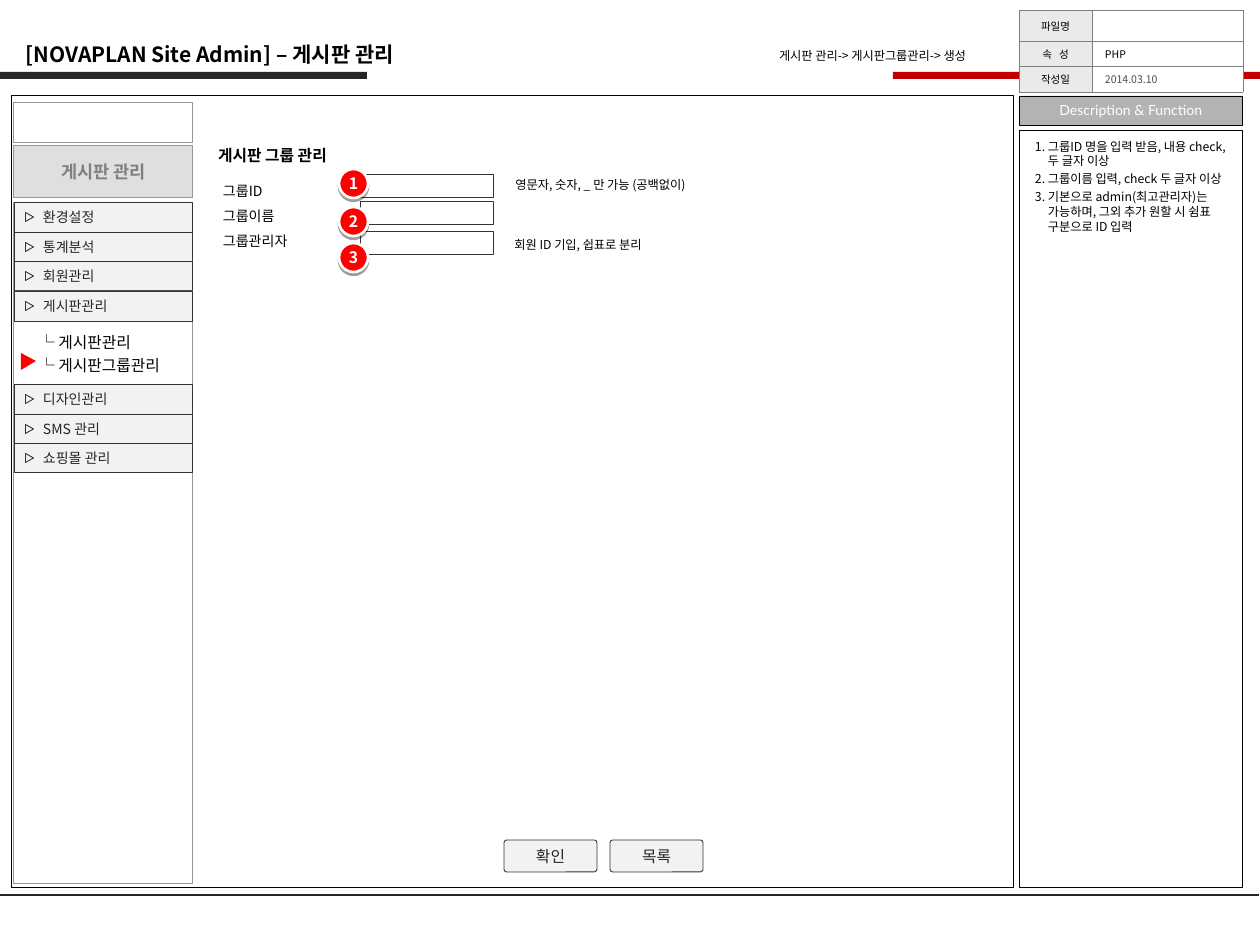
from lxml import etree
from pptx import Presentation
from pptx.dml.color import RGBColor
from pptx.enum import shapes, text
from pptx.oxml import ns
from pptx.util import Emu, Pt

KOREAN, LATIN = "Noto Sans CJK KR", "Lato"
LEFT, CENTER, RIGHT = text.PP_ALIGN.LEFT, text.PP_ALIGN.CENTER, text.PP_ALIGN.RIGHT
TOP, MIDDLE = text.MSO_ANCHOR.TOP, text.MSO_ANCHOR.MIDDLE
RECT, ROUND = shapes.MSO_SHAPE.RECTANGLE, shapes.MSO_SHAPE.ROUNDED_RECTANGLE
OVAL, TRIANGLE = shapes.MSO_SHAPE.OVAL, shapes.MSO_SHAPE.ISOSCELES_TRIANGLE

# Content
TITLE = "[NOVAPLAN Site Admin] – 게시판 관리"
BREADCRUMB = "게시판 관리-> 게시판그룹관리-> 생성"
FILE_INFO = [("파일명", ""), ("속   성", "PHP"), ("작성일", "2014.03.10")]
SIDEBAR_TITLE = "게시판 관리"
MENU_GROUPS = [
    (202, ["환경설정", "통계분석", "회원관리", "게시판관리"]),
    (384, ["디자인관리", "SMS 관리", "쇼핑몰 관리"]),
]
SUBMENU = ["└ 게시판관리", "└ 게시판그룹관리"]
FORM_TITLE = "게시판 그룹 관리"
FORM_LABELS = ["그룹ID", "그룹이름", "그룹관리자"]
FIELD_TOPS = [174, 201, 231]
BADGE_TOPS = [169, 207, 243]
ID_HINT = "영문자, 숫자, _ 만 가능 (공백없이)"
MANAGER_HINT = "회원 ID 기입, 쉽표로 분리"
BUTTONS = ["확인", "목록"]
NOTES_TITLE = "Description & Function"
NOTES = [
    "그룹ID 명을 입력 받음, 내용 check, 두 글자 이상",
    "그룹이름 입력, check 두 글자 이상",
    "기본으로 admin(최고관리자)는 가능하며, 그외 추가 원할 시 쉼표 구분으로 ID 입력",
]


def px(value):
    return Emu(round(value * 914400 / 126))


def color(code):
    return RGBColor.from_string(code)


def child(parent, tag, **attributes):
    return etree.SubElement(parent, ns.qn(tag), attributes)


def add_span(para, words, size, ink="000000", bold=False, font=KOREAN):
    span = para.add_run()
    span.text = words
    span.font.size, span.font.bold, span.font.name = Pt(size), bold, font
    span.font.color.rgb = color(ink)
    child(span.font._element, "a:ea", typeface=font)


def write(box, lines, size, ink="000000", bold=False, font=KOREAN, align=LEFT,
          anchor=TOP, wrap=True, spacing=1.0, insets=(13, 6, 13, 6)):
    frame = box.text_frame
    frame.auto_size = text.MSO_AUTO_SIZE.NONE
    frame.word_wrap, frame.vertical_anchor = wrap, anchor
    (frame.margin_left, frame.margin_top,
     frame.margin_right, frame.margin_bottom) = map(px, insets)
    for index, words in enumerate(lines):
        para = frame.add_paragraph() if index else frame.paragraphs[0]
        para.alignment, para.line_spacing = align, spacing
        add_span(para, words, size, ink, bold, font)
    return frame


def place(box, left, top, width, height):
    box.left, box.top, box.width, box.height = map(px, (left, top, width, height))
    return box


def paint(box, fill=None, line=None, weight=0.5):
    box.shadow.inherit = False
    if fill:
        box.fill.solid()
        box.fill.fore_color.rgb = color(fill)
    else:
        box.fill.background()
    if line:
        box.line.color.rgb, box.line.width = color(line), Pt(weight)
    else:
        box.line.fill.background()
    return box


deck = Presentation()
deck.slide_width, deck.slide_height = px(1260), px(945)
page = deck.slides.add_slide(deck.slide_layouts[1])


def add_box(kind, area, fill=None, line=None, weight=0.5):
    return paint(page.shapes.add_shape(kind, *map(px, area)), fill, line, weight)


def add_text(area, lines, size, **style):
    return write(page.shapes.add_textbox(*map(px, area)), lines, size, **style)


# Page frame: main panel, header bars, footer line
add_box(RECT, (11, 96, 1002, 792), line="000000")
add_box(RECT, (893, 72, 367, 7), "C00000")
add_box(RECT, (0, 72, 367, 7), "262626")
footer = page.shapes.add_connector(
    shapes.MSO_CONNECTOR.STRAIGHT, px(0), px(895), px(1259), px(895))
footer.line.color.rgb, footer.line.width = color("262626"), Pt(0.75)
child(footer._element.spPr, "a:effectLst")

# Header text
write(place(page.shapes.title, 13, 35, 480, 38), [TITLE], 12, bold=True)
add_text((753, 42, 226, 28), [BREADCRUMB], 7, align=RIGHT, wrap=False)

# Sidebar
add_box(RECT, (14, 103, 179, 40), "FFFFFF", "969696")
add_box(RECT, (14, 202, 179, 682), line="969696")
heading = add_box(RECT, (14, 146, 179, 52), "C0C0C0", "969696")
child(heading._element.spPr.find(ns.qn("a:solidFill"))[0], "a:alpha", val="50000")
write(heading, [SIDEBAR_TITLE], 10, "808080", True, align=CENTER, anchor=MIDDLE)
for group_top, items in MENU_GROUPS:
    for index, item in enumerate(items):
        top = group_top + round(index * 29.6)
        button = add_box(RECT, (15, top, 178, 30), "F2F2F2", "333333")
        write(button, [item], 8, "262626", anchor=MIDDLE, insets=(28, 5, 5, 5))
        add_box(TRIANGLE, (25, top + 11, 9, 8), "F2F2F2", "333333").rotation = 90
add_text((26, 323, 146, 58), SUBMENU, 9, wrap=False, spacing=1.2)
pointer = page.shapes.build_freeform(21, 370, scale=px(1))
pointer.add_line_segments([(21, 353), (36, 361)], close=True)
paint(pointer.convert_to_shape(), "FF0000")

# Form
add_text((205, 140, 135, 32), [FORM_TITLE], 9, bold=True, wrap=False)
add_text((210, 168, 630, 88), FORM_LABELS, 8, spacing=1.5)
for top in FIELD_TOPS:
    add_box(RECT, (360, top, 134, 24), "FFFFFF", "333333")
add_text((493, 171, 215, 28), [ID_HINT], 7, align=CENTER)
add_text((495, 231, 166, 28), [MANAGER_HINT], 7, align=CENTER, wrap=False)
for index, label in enumerate(BUTTONS):
    button = add_box(ROUND, (504 + index * 106, 840, 93, 32), "F2F2F2", "333333")
    button.adjustments[0] = 0.09
    write(button, [label], 9, "262626", align=CENTER, anchor=MIDDLE)

# Numbered badges
for number, top in enumerate(BADGE_TOPS, 1):
    badge = add_box(OVAL, (339, top, 29, 29), "FF0000", "FFFFFF", 1.5)
    write(badge, [str(number)], 9, "FFFFFF", True, align=CENTER, anchor=MIDDLE,
          wrap=False, insets=(0, 0, 0, 0))
    effects = badge._element.spPr.find(ns.qn("a:effectLst"))
    shadow = child(effects, "a:outerShdw", blurRad="0", dist=str(Pt(1.6)), dir="5400000")
    child(child(shadow, "a:srgbClr", val="000000"), "a:alpha", val="38000")

# Description panel
add_box(RECT, (1019, 130, 224, 758), line="000000")
write(add_box(RECT, (1019, 96, 224, 29), "B3B3B3", "000000"),
      [NOTES_TITLE], 8, "FFFFFF", font=LATIN, align=CENTER)
notes = write(place(page.placeholders[1], 1022, 133, 220, 749), NOTES, 7)
for index, para in enumerate(notes.paragraphs):
    properties = para._p.get_or_add_pPr()
    properties.set("marL", str(px(13)))
    properties.set("indent", str(-px(13)))
    child(child(properties, "a:buClr"), "a:srgbClr", val="000000")
    child(properties, "a:buFont", typeface=KOREAN)
    child(properties, "a:buAutoNum", type="arabicPeriod")
    para.space_before = Pt(1.8 if index else 0)

# File information table
table = page.shapes.add_table(3, 2, px(1019), px(10), px(224), px(82)).table
for column, width in zip(table.columns, (73, 151)):
    column.width = px(width)
for row, height, entry in zip(table.rows, (31, 25, 26), FILE_INFO):
    row.height = px(height)
    for index, (cell, words) in enumerate(zip(row.cells, entry)):
        cell.margin_left = cell.margin_right = px(13)
        cell.margin_top = cell.margin_bottom = px(4)
        cell.vertical_anchor = MIDDLE
        para = cell.text_frame.paragraphs[0]
        para.alignment = LEFT if index else CENTER
        if words:
            add_span(para, words, 6, "4D4D4D" if words[0] == "2" else "000000")
        else:
            child(para._p, "a:endParaRPr", sz="600")
        properties = cell._tc.get_or_add_tcPr()
        for side in ("a:lnL", "a:lnR", "a:lnT", "a:lnB"):
            border = child(properties, side, w=str(Pt(0.34)))
            child(child(border, "a:solidFill"), "a:srgbClr", val="808080")
        cell.fill.solid()
        cell.fill.fore_color.rgb = color("FFFFFF" if index else "EAEAEA")

deck.save("out.pptx")
